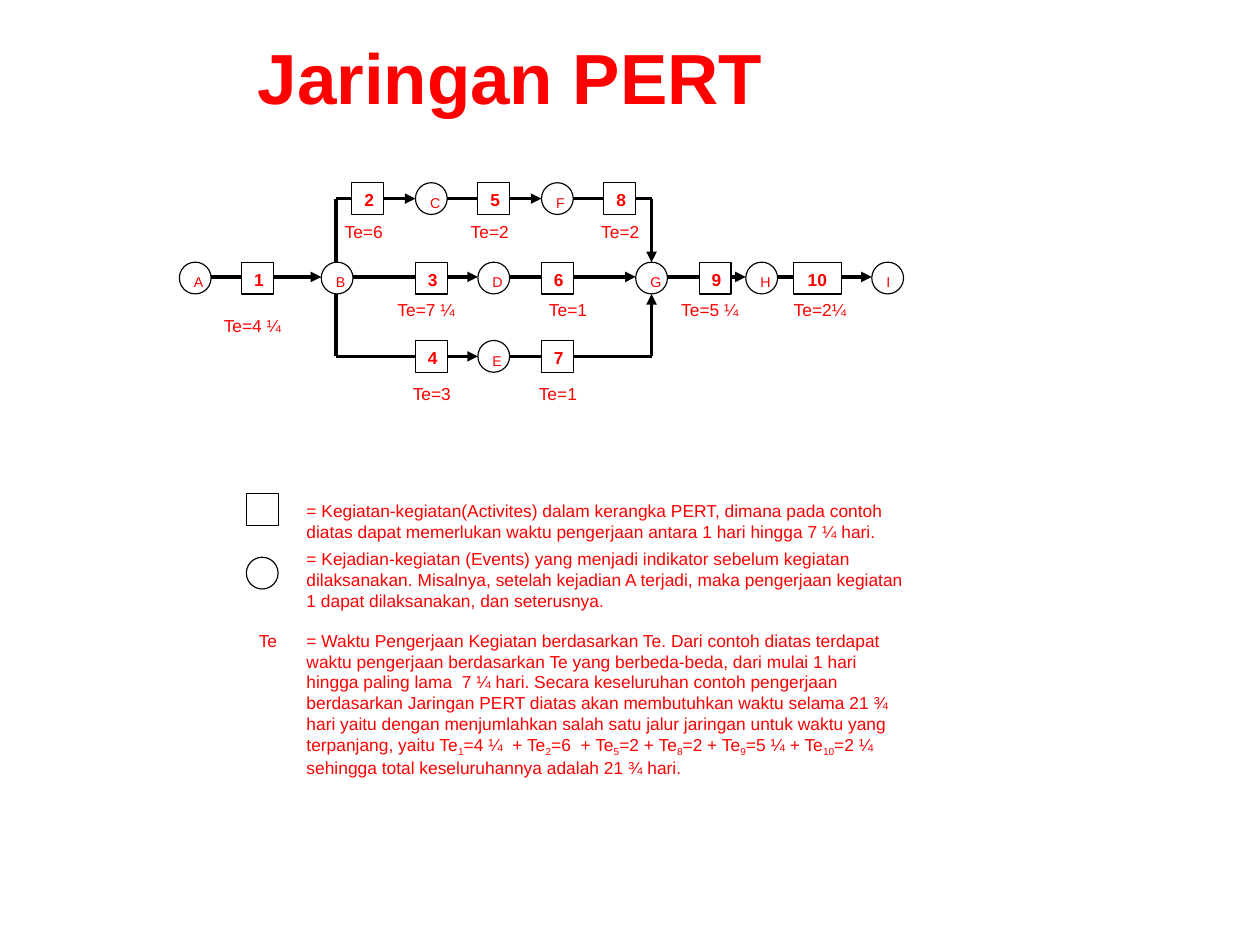
from dataclasses import dataclass
from itertools import pairwise
from typing import NamedTuple

from lxml import etree
from pptx import Presentation
from pptx import util as u
from pptx.dml.color import RGBColor
from pptx.enum import shapes, text
from pptx.oxml.ns import qn

EMU_PER_PX = 9144
RED, BLACK = "FF0000", "000000"
ACTIVITY = shapes.MSO_SHAPE.FLOWCHART_PROCESS
EVENT = shapes.MSO_SHAPE.FLOWCHART_CONNECTOR
NODE = 28
LABEL_WIDTH = 83
LEGEND_X, LEGEND_TEXT_X, LEGEND_WIDTH = 217, 259, 555


class Row(NamedTuple):
    top: int
    axis: int


TOP, MIDDLE, BOTTOM = Row(161, 175), Row(231, 244), Row(300, 314)


@dataclass
class Node:
    name: str
    left: int
    width: int = NODE

    @property
    def is_event(self) -> bool:
        return self.name.isalpha()

    @property
    def right(self) -> int:
        return self.left + self.width


@dataclass
class Link:
    x1: int
    y1: int
    x2: int
    y2: int
    arrow: bool = False
    weight: float = 2.25


@dataclass
class Duration:
    words: str
    left: int
    top: int
    inset_left: int = 3


@dataclass
class LegendEntry:
    kind: shapes.MSO_SHAPE
    symbol_top: int
    text_top: int
    height: int
    words: str


NETWORK = {
    MIDDLE: [Node("A", 158), Node("1", 213), Node("B", 283), Node("3", 366),
             Node("D", 421), Node("6", 477), Node("G", 560), Node("9", 616),
             Node("H", 657), Node("10", 699, 42), Node("I", 768)],
    TOP: [Node("2", 310), Node("C", 366), Node("5", 421), Node("F", 477),
          Node("8", 532)],
    BOTTOM: [Node("4", 366), Node("E", 421), Node("7", 477)],
}
FORK_X, JOIN_X = 296, 574
BRANCHES = [
    Link(FORK_X, MIDDLE.top, FORK_X, TOP.axis),
    Link(FORK_X, TOP.axis, 310, TOP.axis),
    Link(FORK_X, BOTTOM.axis, FORK_X, MIDDLE.top + NODE),
    Link(FORK_X, BOTTOM.axis, 366, BOTTOM.axis),
    Link(560, TOP.axis, JOIN_X, TOP.axis),
    Link(JOIN_X, TOP.axis, JOIN_X, MIDDLE.top, arrow=True),
    Link(505, BOTTOM.axis, JOIN_X, BOTTOM.axis),
    Link(JOIN_X, BOTTOM.axis, JOIN_X, MIDDLE.top + NODE, arrow=True),
]
DURATIONS = [
    Duration("Te=6", 283, 189), Duration("Te=2", 394, 189),
    Duration("Te=2", 505, 189, inset_left=11),
    Duration("Te=7 ¼", 338, 258), Duration("Te=1", 463, 258),
    Duration("Te=5 ¼", 588, 258), Duration("Te=2¼", 685, 258),
    Duration("Te=4 ¼", 185, 272),
    Duration("Te=3", 343, 332), Duration("Te=1", 454, 332),
]
LEGEND = [
    LegendEntry(ACTIVITY, 435, 435, 55,
                "= Kegiatan-kegiatan(Activites) dalam kerangka PERT, dimana pada contoh "
                "diatas dapat memerlukan waktu pengerjaan antara 1 hari hingga 7 ¼ hari."),
    LegendEntry(EVENT, 491, 477, 69,
                "= Kejadian-kegiatan (Events) yang menjadi indikator sebelum kegiatan "
                "dilaksanakan. Misalnya, setelah kejadian A terjadi, maka pengerjaan "
                "kegiatan 1 dapat dilaksanakan, dan seterusnya."),
]
TE_MEANING = (
    "= Waktu Pengerjaan Kegiatan berdasarkan Te. Dari contoh diatas terdapat waktu "
    "pengerjaan berdasarkan Te yang berbeda-beda, dari mulai 1 hari hingga paling lama  "
    "7 ¼ hari. Secara keseluruhan contoh pengerjaan berdasarkan Jaringan PERT diatas akan "
    "membutuhkan waktu selama 21 ¾ hari yaitu dengan menjumlahkan salah satu jalur "
    "jaringan untuk waktu yang terpanjang, yaitu Te~1~=4 ¼  + Te~2~=6  + Te~5~=2 + "
    "Te~8~=2 + Te~9~=5 ¼ + Te~10~=2 ¼  sehingga total keseluruhannya adalah 21 ¾ hari."
)


def px(length: int) -> u.Emu:
    return u.Emu(length * EMU_PER_PX)


def colour(value: str) -> RGBColor:
    return RGBColor.from_string(value)


def write(frame, words: str, *, size: float = 11, bold: bool = False, centred: bool = False,
          anchor=text.MSO_ANCHOR.TOP, insets: tuple[int, int, int, int] = (11, 6, 11, 6)) -> None:
    """Fill a frame; parts between tildes become subscripts."""
    frame.word_wrap = True
    frame.auto_size = text.MSO_AUTO_SIZE.NONE
    frame.vertical_anchor = anchor
    (frame.margin_left, frame.margin_top,
     frame.margin_right, frame.margin_bottom) = map(px, insets)
    paragraph = frame.paragraphs[0]
    paragraph.alignment = text.PP_ALIGN.CENTER if centred else text.PP_ALIGN.LEFT
    for index, part in enumerate(words.split("~")):
        run = paragraph.add_run()
        run.text = part
        run.font.name, run.font.size, run.font.bold = "Arial", u.Pt(size), bold
        run.font.color.rgb = colour(RED)
        if index % 2:
            run._r.get_or_add_rPr().set("baseline", "-25000")


def add_outline(canvas, kind: shapes.MSO_SHAPE, left: int, top: int,
                width: int = NODE, lined: bool = True):
    outline = canvas.add_shape(kind, px(left), px(top), px(width), px(NODE))
    outline.shadow.inherit = False
    outline.fill.background()
    if lined:
        outline.line.color.rgb = colour(BLACK)
        outline.line.width = u.Pt(0.75)
    else:
        outline.line.fill.background()
    return outline


def add_node(canvas, node: Node, row: Row) -> None:
    kind = EVENT if node.is_event else ACTIVITY
    frame = add_outline(canvas, kind, node.left, row.top, node.width).text_frame
    write(frame, node.name, size=9 if node.is_event else 11,
          bold=not node.is_event, centred=not node.is_event)


def add_link(canvas, link: Link) -> None:
    line = canvas.add_connector(shapes.MSO_CONNECTOR.STRAIGHT, px(link.x1), px(link.y1),
                                px(link.x2), px(link.y2))
    line.line.color.rgb = colour(BLACK)
    line.line.width = u.Pt(link.weight)
    if link.arrow:
        etree.SubElement(line.line._get_or_add_ln(), qn("a:tailEnd"), type="triangle")
    etree.SubElement(line._element.spPr, qn("a:effectLst"))


def add_duration(canvas, duration: Duration) -> None:
    box = add_outline(canvas, ACTIVITY, duration.left, duration.top, LABEL_WIDTH, lined=False)
    write(box.text_frame, duration.words, centred=True,
          insets=(duration.inset_left, 6, 11, 6))


def add_passage(canvas, words: str, left: int, top: int, width: int, height: int) -> None:
    box = canvas.add_textbox(px(left), px(top), px(width), px(height))
    write(box.text_frame, words)


def main() -> None:
    deck = Presentation()
    deck.slide_width, deck.slide_height = px(1110), px(830)
    slide = deck.slides.add_slide(deck.slide_layouts[5])
    canvas = slide.shapes

    title = canvas.title
    title.left, title.top, title.width, title.height = map(px, (217, 17, 842, 100))
    write(title.text_frame, "Jaringan PERT", size=45, bold=True,
          anchor=text.MSO_ANCHOR.MIDDLE, insets=(10, 5, 10, 5))

    for row, nodes in NETWORK.items():
        for node in nodes:
            add_node(canvas, node, row)
        for start, end in pairwise(nodes):
            add_link(canvas, Link(start.right, row.axis, end.left, row.axis, end.is_event,
                                  3 if start.name == "A" else 2.25))
    for branch in BRANCHES:
        add_link(canvas, branch)
    for duration in DURATIONS:
        add_duration(canvas, duration)

    for entry in LEGEND:
        group = canvas.add_group_shape().shapes
        add_outline(group, entry.kind, LEGEND_X, entry.symbol_top)
        add_passage(group, entry.words, LEGEND_TEXT_X, entry.text_top,
                    LEGEND_WIDTH, entry.height)
    add_passage(canvas, TE_MEANING, LEGEND_TEXT_X, 549, LEGEND_WIDTH, 124)
    add_passage(canvas, "Te", LEGEND_X, 549, 42, NODE)

    deck.save("out.pptx")


if __name__ == "__main__":
    main()
